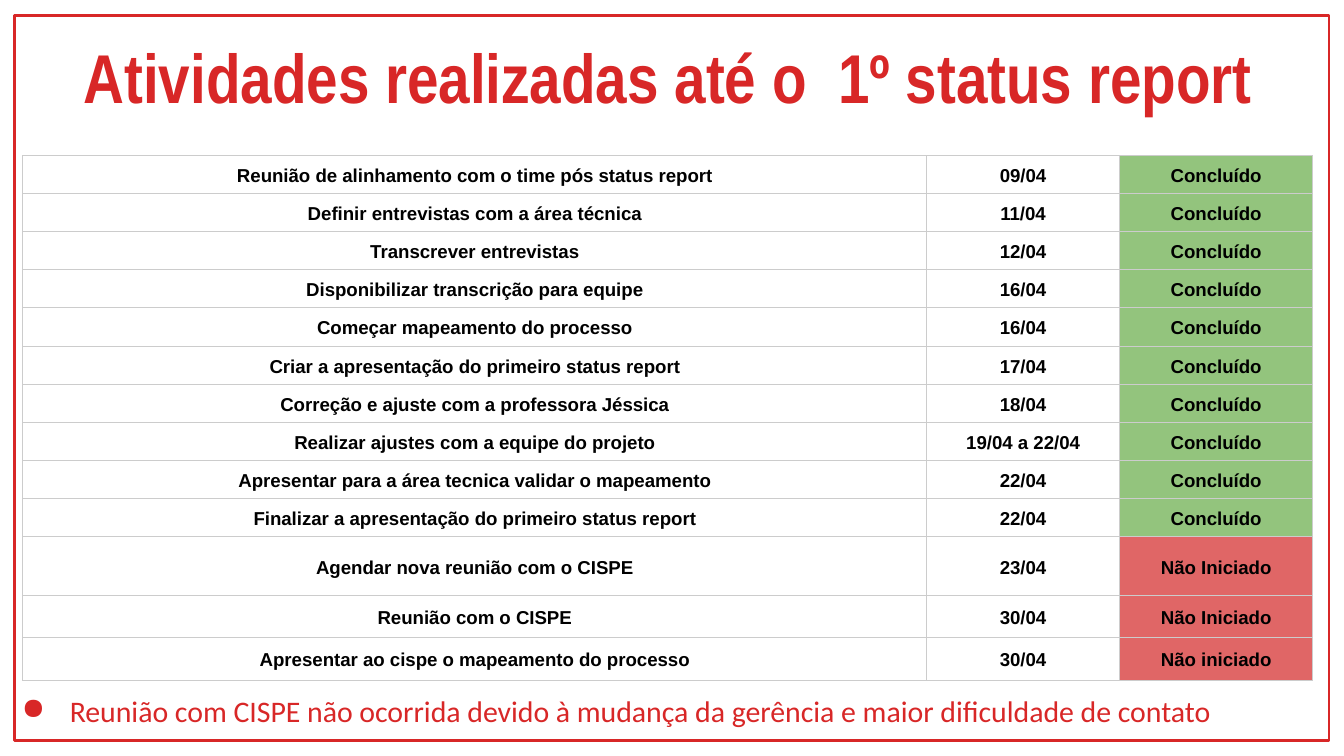
from lxml.etree import SubElement
from pptx import Presentation
from pptx.dml.color import RGBColor
from pptx.enum.shapes import MSO_SHAPE
from pptx.enum.text import MSO_ANCHOR, PP_ALIGN
from pptx.oxml.ns import qn
from pptx.util import Cm, Pt

RED = RGBColor(0xD8, 0x27, 0x27)
BLACK = RGBColor(0x00, 0x00, 0x00)
GRID = RGBColor(0xCC, 0xCC, 0xCC)
DONE = RGBColor(0x93, 0xC4, 0x7D)
PENDING = RGBColor(0xE0, 0x66, 0x66)

TITLE = "Atividades realizadas até o  1º status report"
ACTIVITIES = [
    ("Reunião de alinhamento com o time pós status report", "09/04", "Concluído"),
    ("Definir entrevistas com a área técnica", "11/04", "Concluído"),
    ("Transcrever entrevistas", "12/04", "Concluído"),
    ("Disponibilizar transcrição para equipe", "16/04", "Concluído"),
    ("Começar mapeamento do processo", "16/04", "Concluído"),
    ("Criar a apresentação do primeiro status report", "17/04", "Concluído"),
    ("Correção e ajuste com a professora Jéssica", "18/04", "Concluído"),
    ("Realizar ajustes com a equipe do projeto", "19/04 a 22/04", "Concluído"),
    ("Apresentar para a área tecnica validar o mapeamento", "22/04", "Concluído"),
    ("Finalizar a apresentação do primeiro status report", "22/04", "Concluído"),
    ("Agendar nova reunião com o CISPE", "23/04", "Não Iniciado"),
    ("Reunião com o CISPE", "30/04", "Não Iniciado"),
    ("Apresentar ao cispe o mapeamento do processo", "30/04", "Não iniciado"),
]
NOTE = "Reunião com CISPE não ocorrida devido à mudança da gerência e maior dificuldade de contato"

COLUMN_WIDTHS = [Cm(17.08), Cm(3.65), Cm(3.65)]
ROW_HEIGHTS = [Cm(0.72)] * 10 + [Cm(1.12), Cm(0.78), Cm(0.82)]


def add_run(paragraph, text, font_name, size, color, bold=False):
    run = paragraph.add_run()
    run.text = text
    run.font.name = font_name
    run.font.size = Pt(size)
    run.font.bold = bold
    run.font.color.rgb = color


def add_box(slide, left, top, width, height):
    """Add a wrapping text box and return its first paragraph."""
    frame = slide.shapes.add_textbox(left, top, width, height).text_frame
    frame.word_wrap = True
    frame.margin_left = frame.margin_right = Cm(0.25)
    frame.margin_top = frame.margin_bottom = Cm(0.25)
    return frame.paragraphs[0]


def add_bullet(paragraph, symbol, color):
    properties = paragraph._p.get_or_add_pPr()
    properties.set("marL", str(Cm(1.27)))
    properties.set("indent", str(-Cm(0.91)))
    bullet_color = SubElement(properties, qn("a:buClr"))
    SubElement(bullet_color, qn("a:srgbClr"), val=str(color))
    SubElement(properties, qn("a:buChar"), char=symbol)


def set_borders(cell, color, width):
    properties = cell._tc.get_or_add_tcPr()
    for side in ("lnL", "lnR", "lnT", "lnB"):
        line = SubElement(properties, qn(f"a:{side}"), w=str(width))
        fill = SubElement(line, qn("a:solidFill"))
        SubElement(fill, qn("a:srgbClr"), val=str(color))


def fill_cell(cell, text, color=None):
    cell.vertical_anchor = MSO_ANCHOR.MIDDLE
    cell.margin_left = cell.margin_right = Cm(0.08)
    cell.margin_top = cell.margin_bottom = Cm(0.05)
    set_borders(cell, GRID, Pt(0.6))
    if color is None:
        cell.fill.background()
    else:
        cell.fill.solid()
        cell.fill.fore_color.rgb = color
    paragraph = cell.text_frame.paragraphs[0]
    paragraph.alignment = PP_ALIGN.CENTER
    paragraph.line_spacing = 1.15
    add_run(paragraph, text, "Arial", 10, BLACK, bold=True)


def add_activities(slide):
    table = slide.shapes.add_table(
        len(ACTIVITIES), len(COLUMN_WIDTHS), Cm(0.43), Cm(2.94),
        sum(COLUMN_WIDTHS), sum(ROW_HEIGHTS)).table
    table.first_row = table.horz_banding = False
    for column, width in zip(table.columns, COLUMN_WIDTHS):
        column.width = width
    for r, (activity, height) in enumerate(zip(ACTIVITIES, ROW_HEIGHTS)):
        table.rows[r].height = height
        status_color = DONE if activity[2] == "Concluído" else PENDING
        for c, (text, color) in enumerate(zip(activity, (None, None, status_color))):
            fill_cell(table.cell(r, c), text, color)


def main():
    deck = Presentation()
    deck.slide_width, deck.slide_height = Cm(25.4), Cm(14.29)
    slide = deck.slides.add_slide(deck.slide_layouts[6])

    frame = slide.shapes.add_shape(
        MSO_SHAPE.RECTANGLE, Cm(0.27), Cm(0.3), Cm(24.85), Cm(13.7))
    frame.shadow.inherit = False
    frame.fill.background()
    frame.line.color.rgb = RED
    frame.line.width = Pt(1.5)

    title = add_box(slide, Cm(0.2), Cm(0.41), Cm(24.84), Cm(2.03))
    title.alignment = PP_ALIGN.CENTER
    add_run(title, TITLE, "Arial Narrow", 37, RED, bold=True)

    add_activities(slide)

    note = add_box(slide, Cm(-0.2), Cm(12.85), Cm(25.6), Cm(1.19))
    add_bullet(note, "●", RED)
    add_run(note, NOTE, "Calibri", 16, RED)

    deck.save("out.pptx")


if __name__ == "__main__":
    main()
